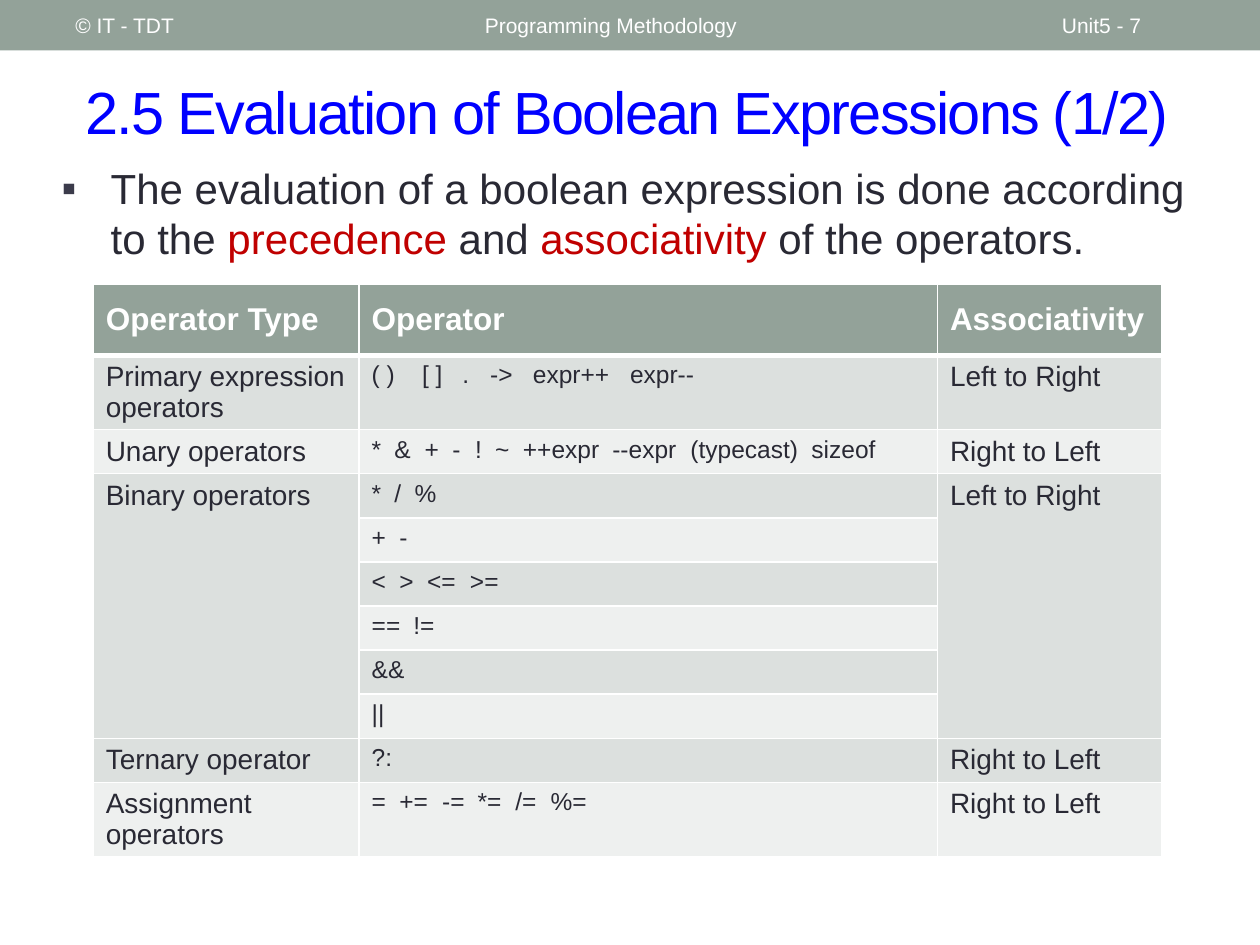
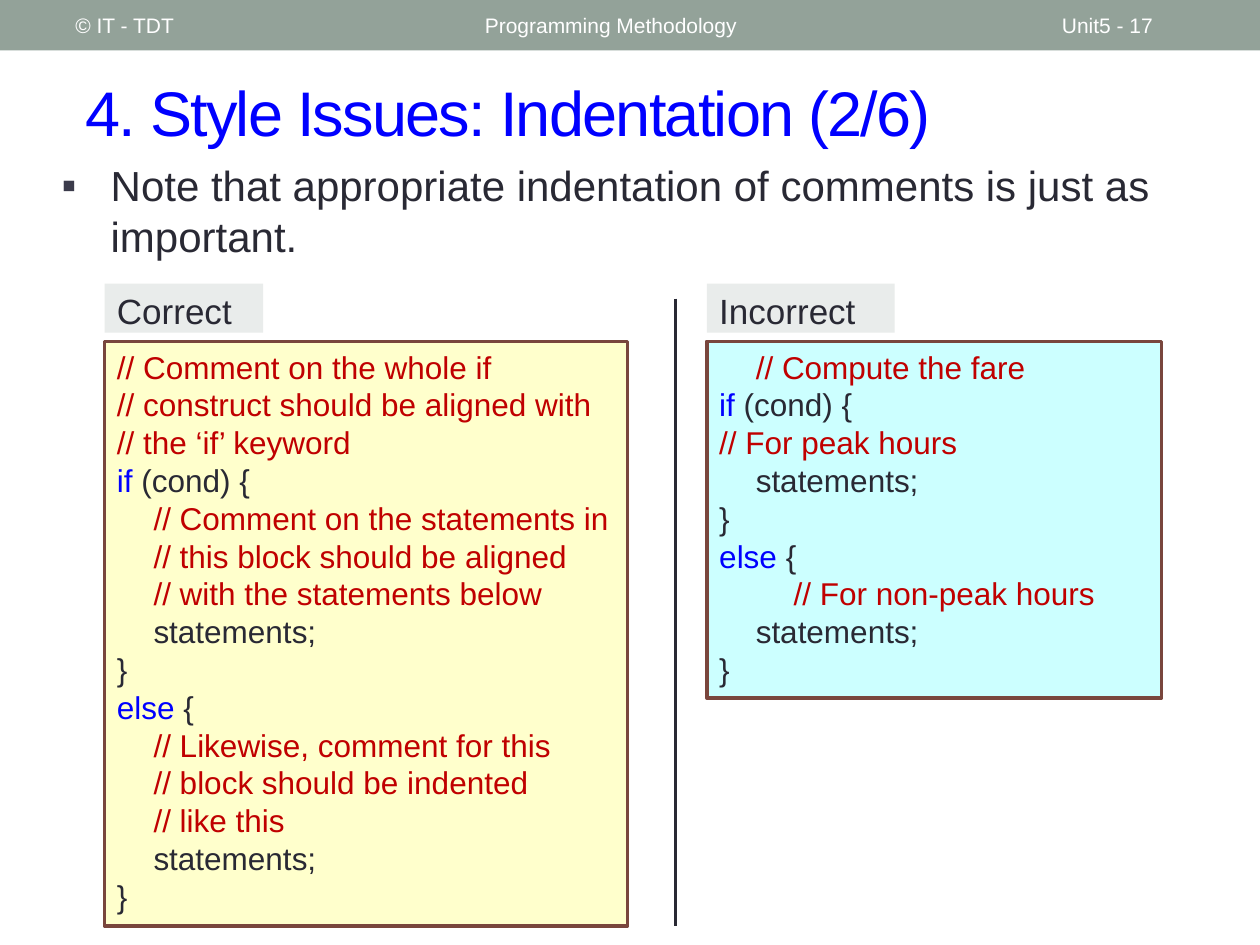
import pptx
import pptx.dml.color
import pptx.enum.shapes
import pptx.enum.text
import pptx.oxml
import pptx.oxml.ns
import pptx.util
from lxml import etree

Inches = pptx.util.Inches
Pt = pptx.util.Pt
MIDDLE = pptx.enum.text.MSO_ANCHOR.MIDDLE
TOP = pptx.enum.text.MSO_ANCHOR.TOP
RECTANGLE = pptx.enum.shapes.MSO_SHAPE.RECTANGLE

SAGE, WHITE, INK = "93A299", "FFFFFF", "292934"
BLUE, RED, BROWN = "0000FF", "C00000", "79463D"
BANDS = ["EEF0EF", "DCE0DE"]
rgb = pptx.dml.color.RGBColor.from_string


def write(frame, text, size=18, color=INK, bold=False, spacing=None,
          bullet=None, tabs=(), anchor=None):
    """Fill a text frame; each line is a string or a list of (text, color) runs."""
    frame.word_wrap = True
    if anchor is not None:
        frame.vertical_anchor = anchor
    for index, line in enumerate([text] if isinstance(text, str) else text):
        paragraph = frame.add_paragraph() if index else frame.paragraphs[0]
        paragraph.alignment = pptx.enum.text.PP_ALIGN.LEFT
        properties = paragraph._p.get_or_add_pPr()
        if bullet:
            properties.set("marL", str(Inches(0.39)))
            properties.set("indent", str(-Inches(0.39)))
            bullet_color = etree.SubElement(properties, pptx.oxml.ns.qn("a:buClr"))
            etree.SubElement(bullet_color, pptx.oxml.ns.qn("a:srgbClr"), val="3B3B4B")
            etree.SubElement(properties, pptx.oxml.ns.qn("a:buFont"), typeface="Arial")
            etree.SubElement(properties, pptx.oxml.ns.qn("a:buChar"), char=bullet)
        if tabs:
            stops = etree.SubElement(properties, pptx.oxml.ns.qn("a:tabLst"))
            for stop in tabs:
                etree.SubElement(stops, pptx.oxml.ns.qn("a:tab"), pos=str(Inches(stop)), algn="l")
        for words, run_color in [(line, color)] if isinstance(line, str) else line:
            run = paragraph.add_run()
            run.text = words
            run.font.name, run.font.size, run.font.bold = "Arial", Pt(size), bold
            run.font.color.rgb = rgb(run_color)
            if spacing:
                run._r.get_or_add_rPr().set("spc", str(spacing))


def add_box(slide, left, top, width, height, fill, line=None):
    box = slide.shapes.add_shape(RECTANGLE, Inches(left), Inches(top), Inches(width), Inches(height))
    box.shadow.inherit = False
    box.fill.solid()
    box.fill.fore_color.rgb = rgb(fill)
    if line:
        box.line.color.rgb = rgb(line)
        box.line.width = Pt(2.08)
    else:
        box.line.fill.background()
    return box


deck = pptx.Presentation()
deck.slide_width, deck.slide_height = Inches(10), Inches(7.5)

# Band, title and opening bullet of every slide
openings = [
    ("2.5 Evaluation of Boolean Expressions (1/2)", 34, "Unit5 - 7", 1.24, 9.18,
     [("The evaluation of a boolean expression is done according to the ", INK),
      ("precedence", RED), (" and ", INK), ("associativity", RED), (" of the operators.", INK)]),
    ("4. Style Issues: Indentation (2/6)", 36, "Unit5 - 17", 1.22, 9.44,
     [("Note that appropriate indentation of comments is just as important.", INK)]),
]
slides = []
for title, title_size, page, bullet_top, bullet_width, statement in openings:
    slide = deck.slides.add_slide(deck.slide_layouts[6])
    slides.append(slide)
    add_box(slide, 0, 0, 10, 0.4, SAGE)
    for words, place, style in [
        (title, (0.58, 0.42, 9.17, 0.92),
         dict(size=title_size, color=BLUE, spacing=-100, anchor=MIDDLE)),
        ("Programming Methodology", (3.75, 0.02, 4.5, 0.36), dict(size=12, color=WHITE, anchor=MIDDLE)),
        (page, (8.33, 0.02, 1.17, 0.36), dict(size=12, color=WHITE, anchor=MIDDLE)),
        ("© IT - TDT", (0.5, 0.02, 3.17, 0.36), dict(size=12, color=WHITE, anchor=MIDDLE)),
        ([statement], (0.39, bullet_top, bullet_width, 1), dict(size=24, bullet="▪", anchor=TOP)),
    ]:
        area = slide.shapes.add_textbox(*map(Inches, place))
        write(area.text_frame, words, **style)
precedence_slide, indentation_slide = slides

# Operator table: type, operators with their tab stops, associativity
operators = [
    ("Operator Type", "Operator", (), "Associativity"),
    ("Primary expression operators", "( )\t[ ]\t.\t->\texpr++\texpr--",
     (0.4, 0.72, 0.94, 1.28, 2.05), "Left to Right"),
    ("Unary operators", "*\t&\t+\t-\t!\t~\t++expr\t--expr\t(typecast)\tsizeof",
     (0.18, 0.42, 0.64, 0.82, 0.98, 1.2, 1.91, 2.53, 3.49), "Right to Left"),
    ("Binary operators", "*\t/\t%", (0.18, 0.34), "Left to Right"),
    ("", "+\t-", (0.22,), ""),
    ("", "<\t>\t<=\t>=", (0.22, 0.44, 0.78), ""),
    ("", "==\t!=", (0.33,), ""),
    ("", "&&", (), ""),
    ("", "||", (), ""),
    ("Ternary operator", "?:", (), "Right to Left"),
    ("Assignment operators", "=\t+=\t-=\t*=\t/=\t%=",
     (0.22, 0.56, 0.84, 1.14, 1.42), "Right to Left"),
]
row_heights = [0.56, 0.59] + [0.35] * 8 + [0.59]
table = precedence_slide.shapes.add_table(
    len(operators), 3, Inches(0.74), Inches(2.26), Inches(8.48), Inches(sum(row_heights))).table
for column, width in zip(table.columns, [2.11, 4.59, 1.78]):
    column.width = Inches(width)
for row, (kind, symbols, stops, direction) in enumerate(operators):
    table.rows[row].height = Inches(row_heights[row])
    header = row == 0
    for column, words in enumerate([kind, symbols, direction]):
        cell = table.cell(row, column)
        borders = cell._tc.get_or_add_tcPr()
        for side in ["lnL", "lnR", "lnT", "lnB"]:
            heavy = (header and side == "lnB") or (row == 1 and side == "lnT")
            borders.append(pptx.oxml.parse_xml(
                f'<a:{side} {pptx.oxml.ns.nsdecls("a")} w="{Pt(3 if heavy else 1)}">'
                f'<a:solidFill><a:srgbClr val="{WHITE}"/></a:solidFill></a:{side}>'))
        cell.fill.solid()
        cell.fill.fore_color.rgb = rgb(SAGE if header else BANDS[row % 2])
        if header:
            cell.vertical_anchor = MIDDLE
        else:
            cell.margin_bottom = 0
        if words:
            write(cell.text_frame, words, size=18 if header else 14 if column == 1 else 16,
                  color=WHITE if header else INK, bold=header, tabs=stops if column == 1 else ())
for column in (0, 2):
    table.cell(3, column).merge(table.cell(8, column))

# Correct and incorrect indentation side by side
divider = indentation_slide.shapes.add_connector(
    pptx.enum.shapes.MSO_CONNECTOR.STRAIGHT, Inches(5.36), Inches(2.37), Inches(5.36), Inches(7.35))
divider.line.color.rgb = rgb(INK)
divider.line.width = Pt(1.5)
etree.SubElement(divider._element.spPr, pptx.oxml.ns.qn("a:effectLst"))

correct_code = """// Comment on the whole if
// construct should be aligned with
// the ‘if’ keyword
if (cond) {
\t// Comment on the statements in
\t// this block should be aligned
 \t// with the statements below
\tstatements;
}
else {
\t// Likewise, comment for this
\t// block should be indented
\t// like this
\tstatements;
}"""
incorrect_code = """\t// Compute the fare
if (cond) {
// For peak hours
\tstatements;
}
else {
\t\t// For non-peak hours
\tstatements;
}"""
for label, left, label_width, code, code_width, code_height, fill in [
    ("Correct", 0.83, 1.26, correct_code, 4.15, 4.64, "FFFFCC"),
    ("Incorrect", 5.61, 1.49, incorrect_code, 3.61, 2.83, "CCFFFF"),
]:
    tag = add_box(indentation_slide, left, 2.25, label_width, 0.39, "E9ECEB")
    write(tag.text_frame, label, size=20, anchor=TOP)
    code_lines = []
    for line in code.split("\n"):
        keyword, gap, rest = line.partition(" ")
        if "//" in line:
            code_lines.append([(line, RED)])
        elif keyword in ("if", "else"):
            code_lines.append([(keyword, BLUE), (gap + rest, INK)])
        else:
            code_lines.append([(line, INK)])
    listing = add_box(indentation_slide, left, 2.71, code_width, code_height, fill, BROWN)
    write(listing.text_frame, code_lines, tabs=(0.29, 0.59), anchor=TOP)

deck.save("out.pptx")
